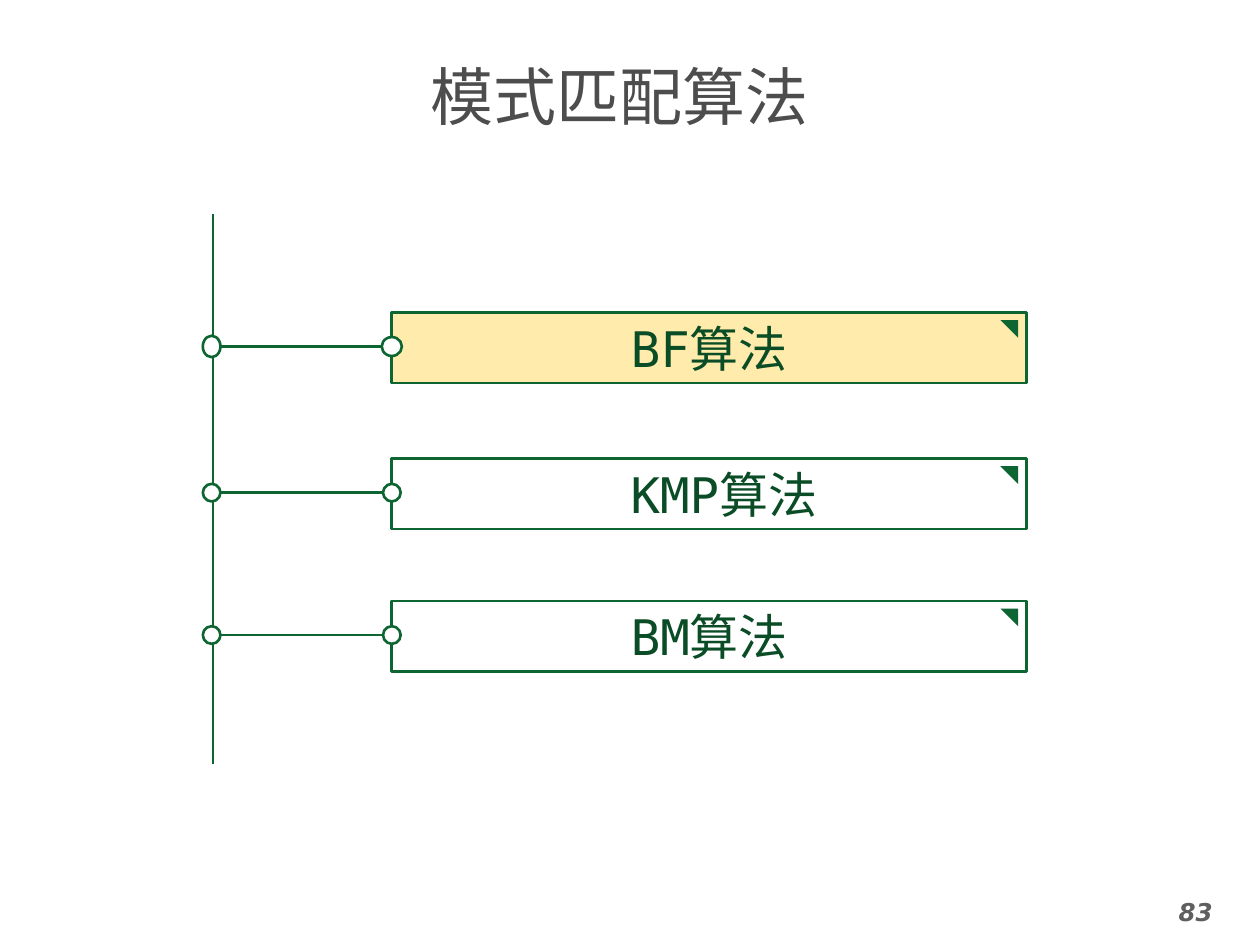
import pptx
import pptx.util
import pptx.dml.color
import pptx.enum.shapes
import pptx.enum.text
import pptx.oxml.ns
import lxml.etree

Inches = pptx.util.Inches
Kind = pptx.enum.shapes.MSO_SHAPE
Anchor = pptx.enum.text.MSO_ANCHOR

HUES = {
    "green": "0D6531",
    "dark": "0A4C25",
    "cream": "FFEBAB",
    "white": "FFFFFF",
    "title": "4D4D4D",
    "page": "5F5F5F",
}


class Deck:
    mono = "DejaVu Sans Mono"
    sans = "DejaVu Sans"
    width = pptx.util.Pt(1.5)

    def __init__(self, slide):
        self.slide = slide

    def hue(self, name):
        return pptx.dml.color.RGBColor.from_string(HUES[name])

    def letter(self, frame, text, size, face, color, anchor=Anchor.MIDDLE, bold=False):
        frame.word_wrap = True
        frame.vertical_anchor = anchor
        para = frame.paragraphs[0]
        para.text = text
        para.alignment = pptx.enum.text.PP_ALIGN.CENTER
        font = para.font
        font.size = pptx.util.Pt(size)
        font.name = face
        font.bold = font.italic = bold
        font.color.rgb = self.hue(color)

    def label(self, place, *style, **more):
        box = self.slide.shapes.add_textbox(*map(Inches, place))
        self.letter(box.text_frame, *style, **more)

    def shape(self, kind, place, fill, edge=True):
        item = self.slide.shapes.add_shape(kind, *map(Inches, place))
        item.shadow.inherit = False
        item.fill.solid()
        item.fill.fore_color.rgb = self.hue(fill)
        if edge:
            item.line.color.rgb = self.hue("green")
            item.line.width = self.width
        else:
            item.line.fill.background()
        return item

    def line(self, *ends):
        kind = pptx.enum.shapes.MSO_CONNECTOR.STRAIGHT
        item = self.slide.shapes.add_connector(kind, *map(Inches, ends))
        item.line.color.rgb = self.hue("green")
        item.line.width = self.width
        tag = pptx.oxml.ns.qn("a:effectLst")
        lxml.etree.SubElement(item.element.spPr, tag)

    def ring(self, x, y, wide, high):
        place = (x - wide / 2, y - high / 2, wide, high)
        self.shape(Kind.OVAL, place, "white")

    def branch(self, top, text, fill, inset, left, right):
        bar = self.shape(Kind.RECTANGLE, (3.11, top, 5.04, 0.56), fill)
        frame = bar.text_frame
        frame.margin_right = frame.margin_top = frame.margin_bottom = 0
        frame.margin_left = Inches(inset)
        self.letter(frame, text, 28, self.mono, "dark")
        flag = self.shape(
            Kind.RIGHT_TRIANGLE, (7.94, top + 0.06, 0.14, 0.14), "green", False
        )
        flag.rotation = 180
        mid = top + 0.27
        self.line(3.11, mid, 1.61, mid)
        self.ring(1.68, mid, *left)
        self.ring(3.11, mid, *right)


def main():
    show = pptx.Presentation()
    show.slide_width = Inches(10)
    show.slide_height = Inches(7.5)
    deck = Deck(show.slides.add_slide(show.slide_layouts[6]))

    deck.label((0.58, 0.41, 8.67, 0.7), "模式匹配算法", 36, deck.mono, "title")
    deck.label(
        (8.98, 7.07, 1.02, 0.43), "83", 14, deck.sans, "page",
        anchor=Anchor.TOP, bold=True,
    )
    deck.line(1.69, 1.7, 1.69, 6.06)

    dot = (0.14, 0.14)
    rows = [
        (2.48, "BF算法", "cream", 0, (0.14, 0.17), (0.16, 0.15)),
        (3.64, "KMP算法", "white", 0.23, dot, dot),
        (4.77, "BM算法", "white", 0, dot, dot),
    ]
    for row in rows:
        deck.branch(*row)

    show.save("out.pptx")


if __name__ == "__main__":
    main()
